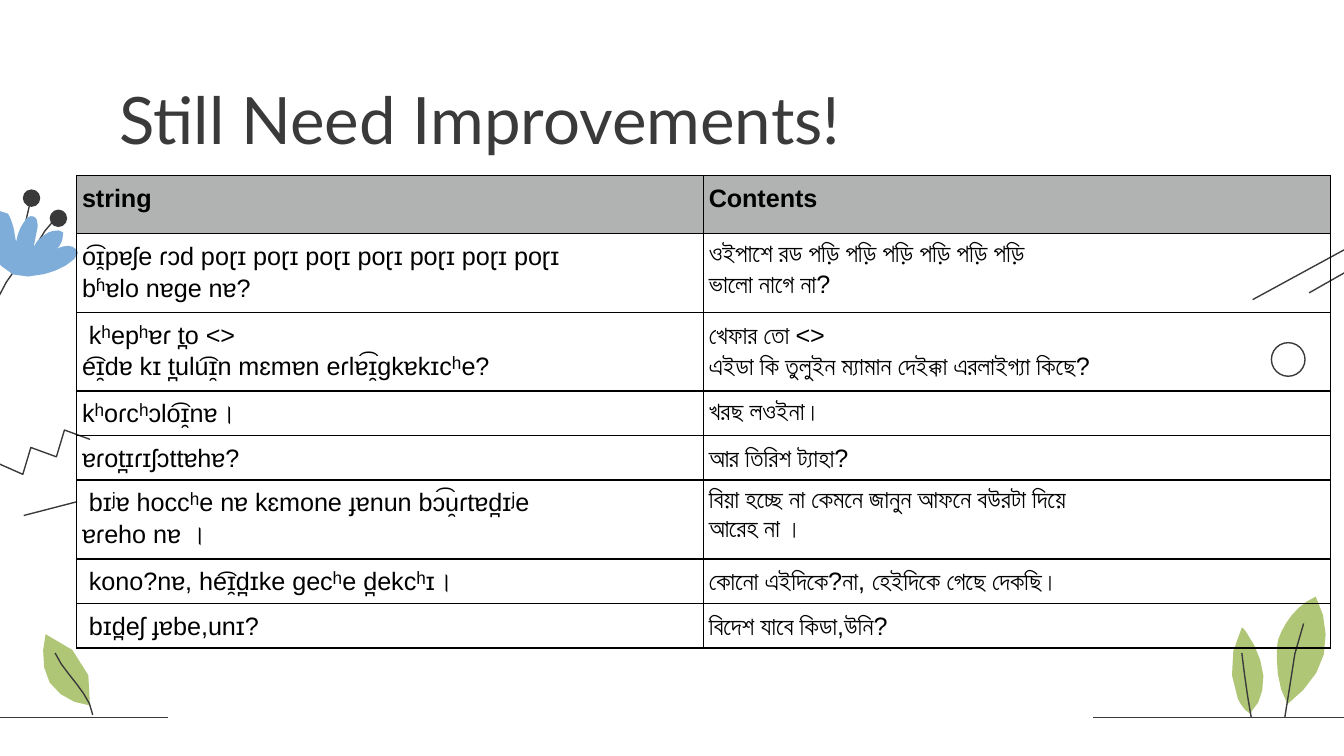
from lxml import etree
from pptx import Presentation
from pptx.dml.color import RGBColor
from pptx.enum.shapes import MSO_CONNECTOR, MSO_SHAPE
from pptx.enum.text import MSO_ANCHOR
from pptx.oxml.ns import qn
from pptx.util import Cm, Pt

INK = RGBColor(0x3A, 0x3A, 0x3A)
BLACK = RGBColor(0x00, 0x00, 0x00)
BLUE = RGBColor(0x7F, 0xAD, 0xD9)
GREEN = RGBColor(0xB0, 0xC6, 0x77)
HEADER_GREY = RGBColor(0xB0, 0xB3, 0xB2)
THIN = Pt(0.75)
CURVE_STEPS = 3

# Outlines in inches: a pair is a corner, six numbers are a Bézier curve
# given by its two control points and its end.
STEMS = [
    [(0.16, 1.94), (0.04, 2.09, -0.06, 2.27, -0.11, 2.46)],
    [(0.14, 1.88), (0.17, 1.75, 0.2, 1.61, 0.23, 1.48)],
    [(0.23, 1.93), (0.26, 1.82, 0.33, 1.71, 0.41, 1.63)],
]
PETALS = [
    (0.33, 2.04), (0.21, 2.07, 0.08, 2.07, 0.01, 1.98),
    (0, 1.97, -0.01, 1.95, -0.02, 1.93), (-0.05, 1.87, -0.07, 1.78, -0.07, 1.7),
    (-0.07, 1.64, -0.04, 1.5, 0.06, 1.59), (0.08, 1.62, 0.09, 1.66, 0.1, 1.69),
    (0.11, 1.73, 0.11, 1.76, 0.12, 1.8), (0.13, 1.74, 0.15, 1.69, 0.18, 1.65),
    (0.19, 1.62, 0.23, 1.6, 0.25, 1.61), (0.28, 1.62, 0.28, 1.66, 0.28, 1.69),
    (0.27, 1.74, 0.26, 1.79, 0.25, 1.84), (0.26, 1.8, 0.32, 1.75, 0.36, 1.73),
    (0.38, 1.72, 0.45, 1.7, 0.47, 1.73), (0.47, 1.74),
    (0.47, 1.79, 0.45, 1.84, 0.4, 1.87), (0.43, 1.84, 0.47, 1.83, 0.51, 1.83),
    (0.54, 1.83, 0.57, 1.85, 0.58, 1.88), (0.58, 1.9, 0.56, 1.91, 0.55, 1.93),
    (0.5, 1.98, 0.41, 2.02, 0.33, 2.04),
]
ZIGZAG = [(-0.26, 3.58), (-0.07, 3.65), (-0.01, 3.45), (0.17, 3.53),
          (0.23, 3.33), (0.42, 3.4), (0.48, 3.2), (0.67, 3.27)]
RIGHT_STROKES = [[(9.32, 2.23), (10.44, 1.62)], [(9.74, 2.18), (10.32, 1.85)]]
LEFT_STROKE = [(0.23, 3.64), (0.52, 3.93)]
GROUND_LINES = [(1.25, 5.34, -0.08, 5.34), (10.11, 5.34, 8.13, 5.34)]
# Each leaf has a blade and a vein.
LEAVES = [
    ([(0.34, 4.72), (0.57, 4.79, 0.72, 5.02, 0.67, 5.25),
      (0.55, 5.24, 0.44, 5.18, 0.37, 5.08), (0.31, 4.98, 0.31, 4.83, 0.34, 4.72)],
     [(0.41, 4.86), (0.45, 4.95, 0.51, 5.01, 0.57, 5.09),
      (0.62, 5.16, 0.68, 5.23, 0.69, 5.32)]),
    ([(9.58, 5.24), (9.52, 5.14, 9.5, 5.01, 9.5, 4.89),
      (9.5, 4.85, 9.5, 4.81, 9.51, 4.76), (9.53, 4.7, 9.57, 4.63, 9.61, 4.58),
      (9.66, 4.52, 9.72, 4.47, 9.79, 4.44), (9.86, 4.57, 9.88, 4.72, 9.85, 4.87),
      (9.82, 5.01, 9.7, 5.15, 9.58, 5.24)],
     [(9.56, 5.34), (9.61, 5.1, 9.61, 4.86, 9.7, 4.64)]),
    ([(9.3, 5.31), (9.26, 5.29, 9.23, 5.24, 9.21, 5.2),
      (9.14, 5.03, 9.15, 4.84, 9.24, 4.67), (9.25, 4.67, 9.26, 4.69, 9.27, 4.7),
      (9.34, 4.8, 9.39, 4.91, 9.4, 5.03), (9.4, 5.15, 9.38, 5.23, 9.3, 5.31)],
     [(9.31, 5.34), (9.28, 5.18, 9.26, 5.02, 9.24, 4.86)]),
]
ROWS = [
    ("string", "Contents"),
    ("o͡ɪ̯pɐʃe ɾɔd poɽɪ poɽɪ poɽɪ poɽɪ poɽɪ poɽɪ poɽɪ\nbʱɐlo nɐge nɐ?",
     "ওইপাশে রড পড়ি পড়ি পড়ি পড়ি পড়ি পড়ি\nভালো নাগে না?"),
    (" kʰepʰɐɾ t̪o <>\ne͡ɪ̯dɐ kɪ t̪ulu͡ɪ̯n mɛmɐn eɾlɐ͡ɪ̯gkɐkɪcʰe?",
     "খেফার তো <>\nএইডা কি তুলুইন ম্যামান দেইক্কা এরলাইগ্যা কিছে?"),
    ("kʰoɾcʰɔlo͡ɪ̯nɐ।", "খরছ লওইনা।"),
    ("ɐɾot̪ɪɾɪʃɔttɐhɐ?", "আর তিরিশ ট্যাহা?"),
    (" bɪʲɐ hoccʰe nɐ kɛmone ɟɐnun bɔ͡u̯ɾtɐd̪ɪʲe\nɐɾeho nɐ ।",
     "বিয়া হচ্ছে না কেমনে জানুন আফনে বউরটা দিয়ে\nআরেহ না ।"),
    (" kono?nɐ, he͡ɪ̯d̪ɪke gecʰe d̪ekcʰɪ।", "কোনো এইদিকে?না, হেইদিকে গেছে দেকছি।"),
    (" bɪd̪eʃ ɟɐbe,unɪ?", "বিদেশ যাবে কিডা,উনি?"),
]


def inches(value):
    return Cm(value * 2.54)


def flatten(outline):
    """Turn corners and Bézier curves into a list of points."""
    points = [outline[0]]
    for step in outline[1:]:
        if len(step) == 2:
            points.append(step)
            continue
        ends = [points[-1], step[:2], step[2:4], step[4:]]
        for i in range(1, CURVE_STEPS + 1):
            t = i / CURVE_STEPS
            weights = ((1 - t) ** 3, 3 * t * (1 - t) ** 2, 3 * t * t * (1 - t), t ** 3)
            points.append(tuple(sum(w * end[axis] for w, end in zip(weights, ends))
                                for axis in (0, 1)))
    return points


def paint(shape, fill):
    """Fill the shape, or give it only a thin outline when fill is None."""
    shape.shadow.inherit = False
    if fill is None:
        shape.fill.background()
        shape.line.color.rgb = INK
        shape.line.width = THIN
    else:
        shape.fill.solid()
        shape.fill.fore_color.rgb = fill
        shape.line.fill.background()


def add_outline(page, outline, fill=None):
    points = [(inches(x), inches(y)) for x, y in flatten(outline)]
    builder = page.shapes.build_freeform(*points[0])
    builder.add_line_segments(points[1:], close=fill is not None)
    shape = builder.convert_to_shape()
    paint(shape, fill)
    return shape


def add_circle(page, x, y, diameter, fill=None):
    size = inches(diameter)
    paint(page.shapes.add_shape(MSO_SHAPE.OVAL, inches(x), inches(y), size, size), fill)


def add_line(page, *ends):
    line = page.shapes.add_connector(MSO_CONNECTOR.STRAIGHT, *map(inches, ends))
    line.line.color.rgb = INK
    line.line.width = THIN
    etree.SubElement(line._element.spPr, qn("a:effectLst"))


def add_decoration(page):
    for stem in STEMS:
        add_outline(page, stem)
    add_circle(page, 0.37, 1.56, 0.13, INK)
    add_circle(page, 0.17, 1.41, 0.13, INK)
    add_outline(page, PETALS, BLUE)
    for stroke in RIGHT_STROKES:
        add_outline(page, stroke)
    add_outline(page, ZIGZAG)
    add_circle(page, 9.46, 2.55, 0.25)
    add_outline(page, LEFT_STROKE).rotation = 120.5
    for ends in GROUND_LINES:
        add_line(page, *ends)
    for blade, vein in LEAVES:
        add_outline(page, blade, GREEN)
        add_outline(page, vein)


def add_title(page, text):
    box = page.shapes.add_textbox(Cm(2.01), Cm(1.24), Cm(21.41), Cm(1.6))
    frame = box.text_frame
    frame.word_wrap = True
    frame.vertical_anchor = MSO_ANCHOR.TOP
    frame.margin_left = frame.margin_right = Cm(0.25)
    frame.margin_top = frame.margin_bottom = Cm(0.25)
    para = frame.paragraphs[0]
    para.text = text
    para.font.name = "Lato"
    para.font.size = Pt(35)
    para.font.color.rgb = INK


def add_borders(cell):
    properties = cell._tc.get_or_add_tcPr()
    for side in ("lnL", "lnR", "lnT", "lnB"):
        border = etree.SubElement(properties, qn(f"a:{side}"), w=str(THIN))
        fill = etree.SubElement(border, qn("a:solidFill"))
        etree.SubElement(fill, qn("a:srgbClr"), val=str(BLACK))


def fill_cell(cell, text, is_header):
    cell.text = text
    cell.margin_left = cell.margin_right = cell.margin_top = Cm(0.1)
    cell.margin_bottom = Cm(0.09)
    add_borders(cell)
    if is_header:
        cell.fill.solid()
        cell.fill.fore_color.rgb = HEADER_GREY
    else:
        cell.fill.background()
    for para in cell.text_frame.paragraphs:
        para.line_spacing = 1.14
        para.font.name = "Arial"
        para.font.size = Pt(13.5)
        para.font.bold = is_header
        para.font.color.rgb = BLACK


def add_transcript_table(page):
    heights = [Cm(1.09 if "\n" in row[0] else 0.66) for row in ROWS]
    heights[0] = Cm(1.09)
    table = page.shapes.add_table(len(ROWS), 2, Cm(1.45), Cm(3.32),
                                  Cm(23.69), sum(heights)).table
    table.first_row = table.horz_banding = False
    for row, height, texts in zip(table.rows, heights, ROWS):
        row.height = height
        for cell, text in zip(row.cells, texts):
            fill_cell(cell, text, texts is ROWS[0])


def main():
    deck = Presentation()
    deck.slide_width, deck.slide_height = Cm(25.4), Cm(14.29)
    page = deck.slides.add_slide(deck.slide_layouts[6])
    add_decoration(page)
    add_title(page, "Still Need Improvements!")
    add_transcript_table(page)
    deck.save("out.pptx")


if __name__ == "__main__":
    main()
